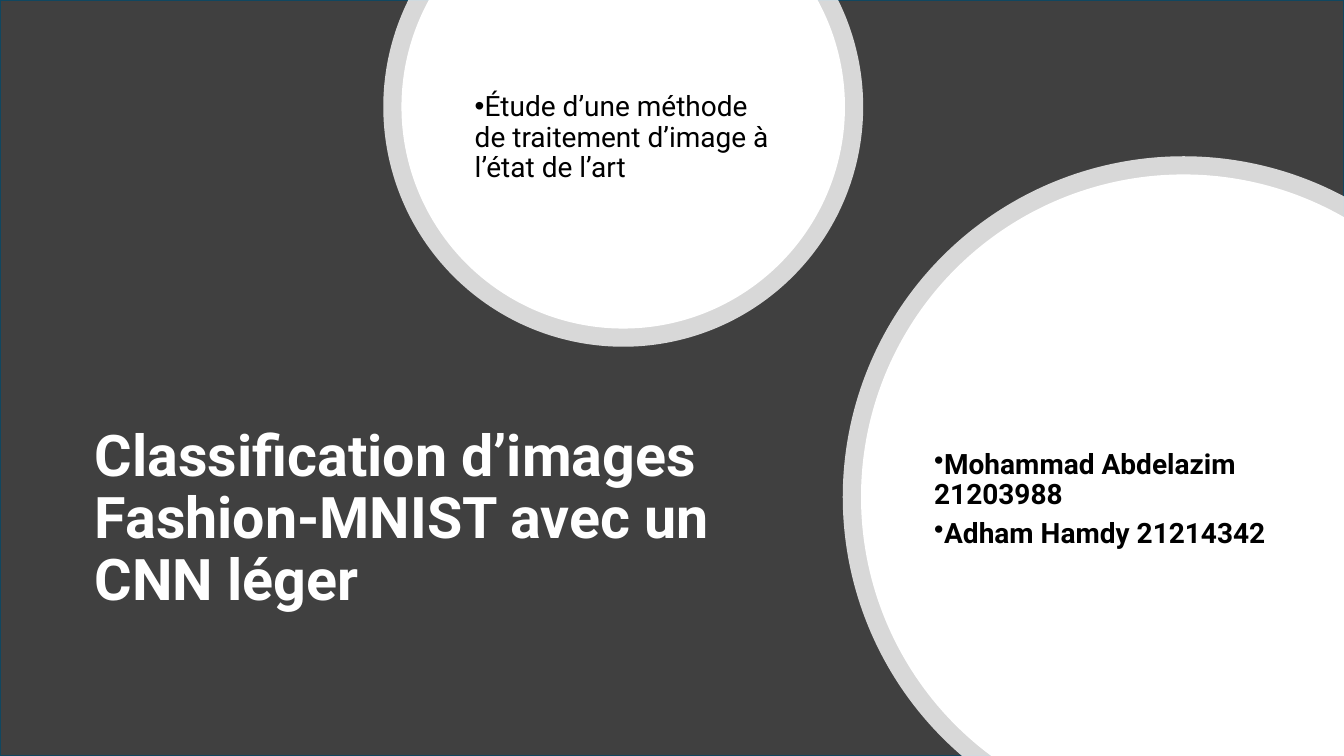
import math

import lxml.etree
import pptx
import pptx.dml.color
import pptx.enum.shapes
import pptx.enum.text
import pptx.oxml.ns
import pptx.util

Pt = pptx.util.Pt
qn = pptx.oxml.ns.qn
WIDTH, HEIGHT = 960, 540
RING = 13

TITLE = ["Classification d’images Fashion-MNIST avec un CNN léger"]
SUBJECT = ["Étude d’une méthode de traitement d’image à l’état de l’art"]
AUTHORS = ["Mohammad Abdelazim 21203988", "Adham Hamdy 21214342"]

# Centre x, centre y, outer radius
CIRCLES = [(445.2, 76.3, 171.4), (845.4, 355, 243.4)]

# Left, top, width, height
TITLE_AREA = (60.5, 275.8, 476.6, 190.8)
SUBJECT_AREA = (331.9, 28.1, 226.8, 141.1)
AUTHORS_AREA = (660.2, 247.7, 273.6, 218.9)

TITLE_FONT = {"name": "Roboto", "size": Pt(41), "bold": True}
SUBJECT_FONT = {"name": "Roboto", "size": Pt(20), "bold": False}
AUTHORS_FONT = {"name": "Roboto", "size": Pt(20), "bold": True}


def color(value):
    return pptx.dml.color.RGBColor.from_string(value)


def visible_arc(center_x, center_y, radius):
    """Return the clockwise start and end angles on the slide, and slide corners inside."""
    if center_y < radius:
        tilt = math.degrees(math.asin(center_y / radius))
        return -tilt, 180 + tilt, []
    start = 180 - math.degrees(math.asin((HEIGHT - center_y) / radius))
    end = 360 - math.degrees(math.acos((WIDTH - center_x) / radius))
    return start, end, [(Pt(WIDTH), Pt(HEIGHT))]


def add_disc(page, center_x, center_y, radius, opacity=100):
    """Draw a white disc cut off at the edges of the slide."""
    start, end, corners = visible_arc(center_x, center_y, radius)
    extremes = [angle for angle in range(0, 360, 90) if start < angle < end]
    points = [(Pt(center_x + radius * math.cos(math.radians(angle))),
               Pt(center_y + radius * math.sin(math.radians(angle))))
              for angle in [start, *extremes, end]]
    builder = page.shapes.build_freeform(*points[0])
    builder.add_line_segments(points[1:] + corners, close=True)
    disc = builder.convert_to_shape()

    # One true arc takes the place of the segments along the rim
    outline = disc.element.spPr.find(".//" + qn("a:path"))
    for segment in outline.findall(qn("a:lnTo"))[:len(points) - 1]:
        outline.remove(segment)
    arc = lxml.etree.Element(qn("a:arcTo"))
    outline.insert(1, arc)
    for name, value in {"wR": Pt(radius), "hR": Pt(radius),
                        "stAng": round(start % 360 * 60000),
                        "swAng": round((end - start) * 60000)}.items():
        arc.set(name, str(int(value)))

    disc.shadow.inherit = False
    disc.fill.solid()
    disc.fill.fore_color.rgb = color("FFFFFF")
    disc.line.fill.background()
    if opacity < 100:
        fill_color = disc.element.spPr.find(".//" + qn("a:srgbClr"))
        alpha = lxml.etree.SubElement(fill_color, qn("a:alpha"))
        alpha.set("val", str(opacity * 1000))


def add_bullet(para):
    properties = para._p.get_or_add_pPr()
    properties.set("marL", "0")
    properties.set("indent", str(-Pt(18)))
    bullet = lxml.etree.SubElement(properties, qn("a:buChar"))
    bullet.set("char", "•")


def fill_text(box, area, lines, font, text_color, bullets=False, space_after=0):
    box.left, box.top, box.width, box.height = map(Pt, area)
    frame = box.text_frame
    frame.word_wrap = True
    frame.auto_size = pptx.enum.text.MSO_AUTO_SIZE.NONE
    frame.vertical_anchor = pptx.enum.text.MSO_ANCHOR.MIDDLE
    layout = {"alignment": pptx.enum.text.PP_ALIGN.LEFT, "line_spacing": 0.9,
              "space_before": Pt(0), "space_after": Pt(space_after)}
    for index, line in enumerate(lines):
        para = frame.add_paragraph() if index else frame.paragraphs[0]
        if bullets:
            add_bullet(para)
        for name, value in layout.items():
            setattr(para, name, value)
        span = para.add_run()
        span.text = line
        for name, value in font.items():
            setattr(span.font, name, value)
        span.font.color.rgb = color(text_color)


def main():
    deck = pptx.Presentation()
    deck.slide_width, deck.slide_height = Pt(WIDTH), Pt(HEIGHT)
    page = deck.slides.add_slide(deck.slide_layouts[0])
    title, subject = page.shapes.title, page.placeholders[1]

    backdrop = page.shapes.add_shape(
        pptx.enum.shapes.MSO_SHAPE.RECTANGLE, 0, 0, Pt(WIDTH), Pt(HEIGHT))
    backdrop.shadow.inherit = False
    backdrop.fill.solid()
    backdrop.fill.fore_color.rgb = color("404040")
    backdrop.line.color.rgb = color("104760")
    backdrop.line.width = Pt(1.5)

    for center_x, center_y, radius in CIRCLES:
        add_disc(page, center_x, center_y, radius, opacity=80)
        add_disc(page, center_x, center_y, radius - RING)

    # Bring the placeholders in front of the backdrop and discs
    for box in (title, subject):
        box.element.getparent().append(box.element)

    authors = page.shapes.add_textbox(*map(Pt, AUTHORS_AREA))
    fill_text(title, TITLE_AREA, TITLE, TITLE_FONT, "FFFFFF")
    fill_text(subject, SUBJECT_AREA, SUBJECT, SUBJECT_FONT, "000000", bullets=True)
    fill_text(authors, AUTHORS_AREA, AUTHORS, AUTHORS_FONT, "000000",
              bullets=True, space_after=6)
    deck.save("out.pptx")


if __name__ == "__main__":
    main()
